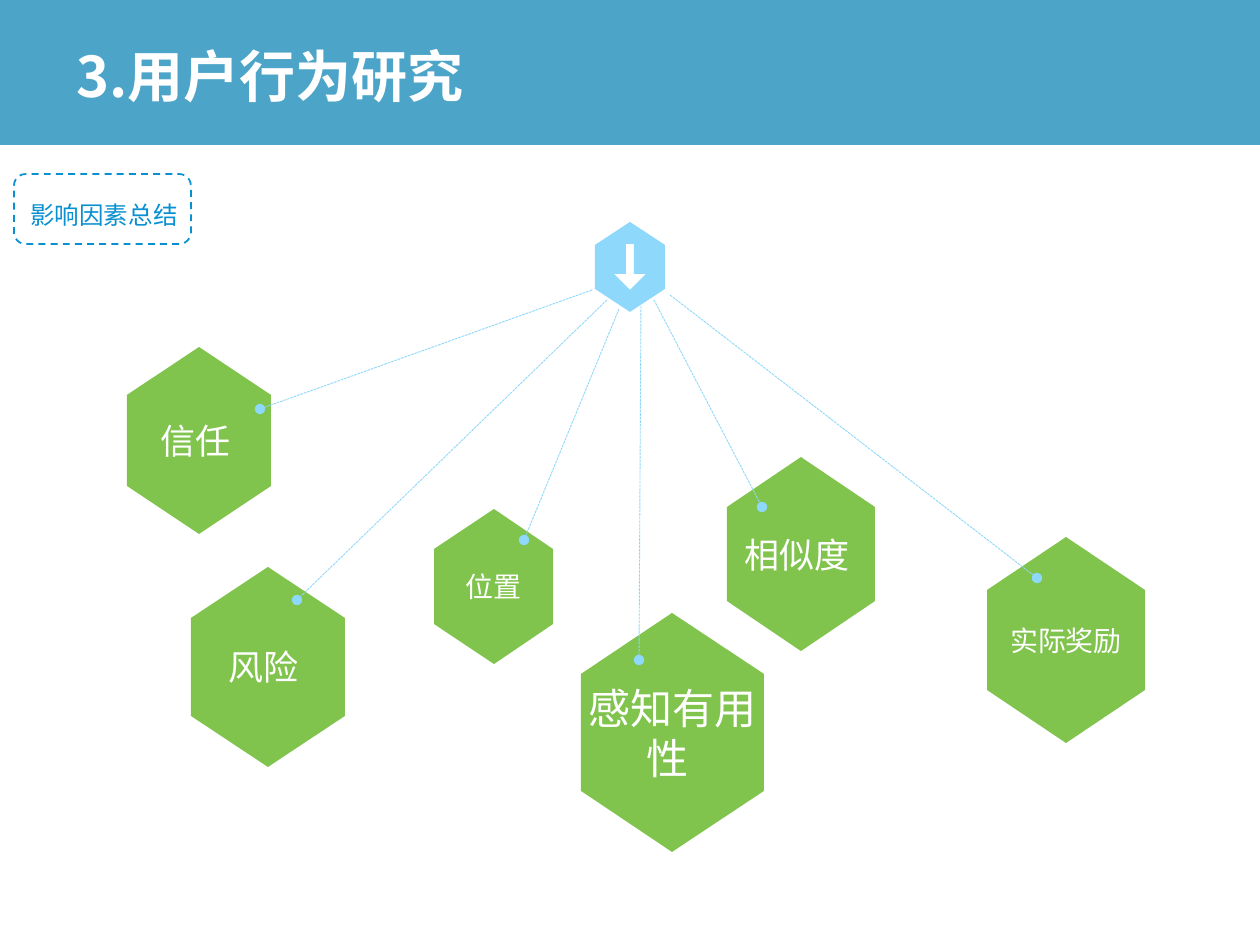
from lxml.etree import SubElement
from pptx import Presentation
from pptx.dml.color import RGBColor
from pptx.enum.dml import MSO_LINE
from pptx.enum.shapes import MSO_CONNECTOR, MSO_SHAPE
from pptx.enum.text import MSO_ANCHOR, PP_ALIGN
from pptx.oxml.ns import qn
from pptx.util import Pt

SCALE = 914400 / 126
COLORS = {"header": "0080B2", "label": "0890D0", "factor": "80C34D",
          "hub": "8ED8FB", "text": "FFFFFF"}
CJK_FONT = "Noto Sans CJK SC"
SHOULDER = 0.257

FACTORS = [
    ("实际奖励", 16, (987, 537, 158, 206), (670, 295), (1037, 578)),
    ("相似度 ", 20, (727, 457, 148, 194), (654, 300), (762, 507)),
    ("感知有用性 ", 24, (581, 613, 183, 239), (641, 306), (639, 660)),
    ("位置", 16, (434, 509, 119, 155), (619, 309), (524, 540)),
    ("风险 ", 20, (191, 567, 154, 200), (607, 300), (297, 600)),
    ("信任 ", 20, (127, 347, 144, 187), (592, 290), (260, 409)),
]


def px(*lengths):
    """Turn px lengths into EMU."""
    return [round(length * SCALE) for length in lengths]


def rgb(name):
    """Look up a named colour."""
    return RGBColor.from_string(COLORS[name])


def paint(shape, color):
    """Give a shape a plain fill without line or shadow."""
    shape.shadow.inherit = False
    shape.fill.solid()
    shape.fill.fore_color.rgb = rgb(color)
    shape.line.fill.background()


def write(shape, text, size, font, color, bold=False, spacing=1.0):
    """Put one formatted paragraph into a shape."""
    frame = shape.text_frame
    frame.text = text
    frame.word_wrap = True
    para = frame.paragraphs[0]
    para.line_spacing = spacing
    span = para.runs[0]
    span.font.name, span.font.size, span.font.bold = font, Pt(size), bold
    span.font.color.rgb = rgb(color)
    SubElement(span.font._element, qn("a:ea"), typeface=CJK_FONT)
    return para


def add_header(page, box):
    """Draw the translucent band and its title."""
    left, top, width, height = box
    band = page.shapes.add_shape(MSO_SHAPE.RECTANGLE, *px(*box))
    paint(band, "header")
    tint = band.fill._xPr.find(qn("a:solidFill"))[0]
    SubElement(tint, qn("a:alpha"), val="70000")
    title = page.shapes.add_textbox(*px(left + 65, top + 26, width - 130, height - 37))
    title.text_frame.vertical_anchor = MSO_ANCHOR.MIDDLE
    write(title, "3.用户行为研究", 32, CJK_FONT, "text", bold=True, spacing=0.9)


def add_label(page, box):
    """Draw the dashed frame and its caption."""
    left, top, width, height = box
    group = page.shapes.add_group_shape()
    frame = group.shapes.add_shape(MSO_SHAPE.ROUNDED_RECTANGLE, *px(*box))
    frame.shadow.inherit = False
    frame.fill.background()
    frame.line.color.rgb = rgb("label")
    frame.line.width = Pt(1)
    frame.line.dash_style = MSO_LINE.DASH
    caption = group.shapes.add_textbox(*px(left + 4, top + 11, width + 5, height - 21))
    write(caption, "影响因素总结", 14, "Arial", "label", spacing=1.3)


def hexagon_points(box):
    """List the corners of an upright hexagon, from the top clockwise."""
    left, top, width, height = box
    middle, right, bottom = left + width / 2, left + width, top + height
    upper, lower = top + height * SHOULDER, bottom - height * SHOULDER
    return [(middle, top), (right, upper), (right, lower),
            (middle, bottom), (left, lower), (left, upper)]


def add_outline(shapes, contours, color):
    """Draw closed contours as one filled freeform."""
    first, *others = contours
    builder = shapes.build_freeform(*first[0], scale=SCALE)
    builder.add_line_segments(first[1:], close=True)
    for points in others:
        builder.move_to(*points[0])
        builder.add_line_segments(points[1:], close=True)
    shape = builder.convert_to_shape()
    paint(shape, color)
    return shape


def add_factor(shapes, box, text, size):
    """Draw one labelled hexagon."""
    shape = add_outline(shapes, [hexagon_points(box)], "factor")
    frame = shape.text_frame
    frame.margin_left = frame.margin_right = frame.margin_top = frame.margin_bottom = 0
    frame.vertical_anchor = MSO_ANCHOR.MIDDLE
    write(shape, text, size, "Times New Roman", "text").alignment = PP_ALIGN.CENTER


def add_hub(shapes, box):
    """Draw the hexagon with a down arrow cut out of it."""
    left, top, width, height = box
    middle = left + width / 2
    stem, neck, tip = top + 22, top + 52, top + 68
    arrow = [(middle - 4, stem), (middle - 4, neck), (middle - 16, neck), (middle, tip),
             (middle + 16, neck), (middle + 4, neck), (middle + 4, stem)]
    add_outline(shapes, [hexagon_points(box), arrow], "hub")


def add_spoke(shapes, start, end):
    """Draw a dashed line that ends in a dot."""
    spoke = shapes.add_connector(MSO_CONNECTOR.STRAIGHT, *px(*start, *end))
    spoke.line.color.rgb = rgb("hub")
    spoke.line.width = Pt(0.5)
    spoke.line.dash_style = MSO_LINE.SQUARE_DOT
    SubElement(spoke.line._get_or_add_ln(), qn("a:tailEnd"), type="oval")
    SubElement(spoke._element.spPr, qn("a:effectLst"))


def add_diagram(page, hub_box):
    """Draw the factors, the hub and the spokes between them."""
    shapes = page.shapes.add_group_shape().shapes
    for text, size, box, _, _ in FACTORS:
        add_factor(shapes, box, text, size)
    add_hub(shapes, hub_box)
    for _, _, _, start, end in FACTORS:
        add_spoke(shapes, start, end)


def main():
    """Build the slide and save it."""
    deck = Presentation()
    deck.slide_width, deck.slide_height = px(1260, 945)
    page = deck.slides.add_slide(deck.slide_layouts[6])
    add_header(page, (-1, -2, 1261, 147))
    add_label(page, (14, 174, 177, 70))
    add_diagram(page, (595, 222, 70, 90))
    deck.save("out.pptx")


if __name__ == "__main__":
    main()
